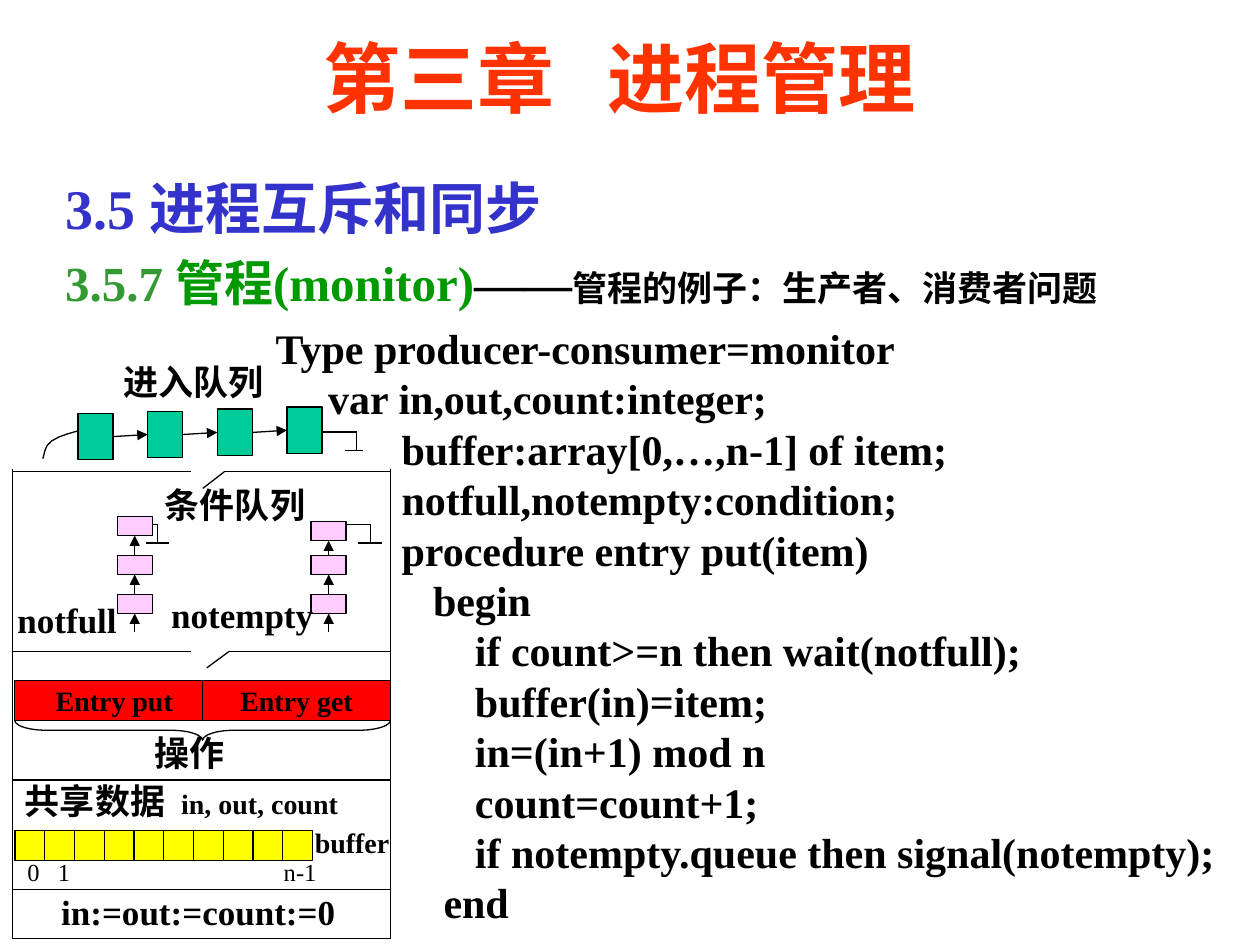
from lxml import etree
from pptx import Presentation
from pptx.dml.color import RGBColor
from pptx.enum.shapes import MSO_CONNECTOR, MSO_SHAPE
from pptx.enum.text import MSO_ANCHOR, MSO_AUTO_SIZE, PP_ALIGN
from pptx.oxml.ns import qn
from pptx.util import Pt

RECTANGLE, BRACE = MSO_SHAPE.RECTANGLE, MSO_SHAPE.RIGHT_BRACE
STRAIGHT = MSO_CONNECTOR.STRAIGHT
LEFT, CENTER = PP_ALIGN.LEFT, PP_ALIGN.CENTER
MIDDLE = MSO_ANCHOR.MIDDLE
FIT_TEXT = MSO_AUTO_SIZE.SHAPE_TO_FIT_TEXT
TOP_SIDE, LEFT_SIDE, BOTTOM_SIDE, RIGHT_SIDE = range(4)

FONT = "Times New Roman"
COLORS = {
    "title": "FF3300", "section": "3333CC", "number": "339933", "topic": "009900",
    "black": "000000", "entry": "00CC99", "condition": "FFCCFF",
    "operation": "FF0000", "buffer": "FFFF00",
}
CODE = [
    "Type producer-consumer=monitor",
    "     var in,out,count:integer;",
    "            buffer:array[0,…,n-1] of item;",
    "            notfull,notempty:condition;",
    "            procedure entry put(item)",
    "               begin",
    "                   if count>=n then wait(notfull);",
    "                   buffer(in)=item;",
    "                   in=(in+1) mod n",
    "                   count=count+1;",
    "                   if notempty.queue then signal(notempty);",
    "                end",
]


def color(name):
    return RGBColor.from_string(COLORS[name])


def add_run(paragraph, text, size, color_name="black", bold=True):
    run = paragraph.add_run()
    run.text = text
    run.font.name = FONT
    run.font.size = Pt(size)
    run.font.bold = bold
    run.font.color.rgb = color(color_name)


def add_text_box(slide, left, top, width, height):
    box = slide.shapes.add_textbox(Pt(left), Pt(top), Pt(width), Pt(height))
    box.text_frame.word_wrap = True
    box.text_frame.auto_size = FIT_TEXT
    return box.text_frame


def add_label(slide, left, top, width, text, size=20, height=31, align=LEFT):
    paragraph = add_text_box(slide, left, top, width, height).paragraphs[0]
    paragraph.alignment = align
    add_run(paragraph, text, size)


def outline(shape):
    shape.line.color.rgb = color("black")
    shape.line.width = Pt(0.75)


def add_box(slide, left, top, width, height, fill=None, kind=RECTANGLE):
    shape = slide.shapes.add_shape(kind, Pt(left), Pt(top), Pt(width), Pt(height))
    shape.shadow.inherit = False
    outline(shape)
    if fill:
        shape.fill.solid()
        shape.fill.fore_color.rgb = color(fill)
    else:
        shape.fill.background()
    return shape


def add_line(slide, x1, y1, x2, y2, arrow=False):
    line = slide.shapes.add_connector(STRAIGHT, Pt(x1), Pt(y1), Pt(x2), Pt(y2))
    outline(line)
    properties = line._element.spPr
    if arrow:
        etree.SubElement(properties.find(qn("a:ln")), qn("a:tailEnd"), type="triangle")
    etree.SubElement(properties, qn("a:effectLst"))
    return line


def add_link(slide, start, start_side, end, end_side):
    line = add_line(slide, 0, 0, 0, 0, arrow=True)
    line.begin_connect(start, start_side)
    line.end_connect(end, end_side)


def add_terminator(slide, x1, x2, y, bar_left, bar_right):
    """Queue end: a lead, a drop and a bar below it."""
    drop = y + 10.6
    add_line(slide, x1, y, x2, y)
    add_line(slide, x2, y, x2, drop)
    add_line(slide, bar_left, drop, bar_right, drop)


def format_title(slide, left, top, width, height):
    title = slide.shapes.title
    title.left, title.top, title.width, title.height = map(Pt, (left, top, width, height))
    title.text_frame.vertical_anchor = MIDDLE
    paragraph = title.text_frame.paragraphs[0]
    paragraph.alignment = CENTER
    add_run(paragraph, "第三章   进程管理", 44, "title")


def add_headings(slide, left, top, width, height):
    paragraph = add_text_box(slide, left, top, width, height).paragraphs[0]
    paragraph.line_spacing = 1.2
    add_run(paragraph, "3.5 进程互斥和同步", 32, "section")
    paragraph.add_line_break()
    add_run(paragraph, "3.5.7 ", 28, "number")
    add_run(paragraph, "管程(monitor)", 28, "topic")
    add_run(paragraph, "——", 28)
    add_run(paragraph, "管程的例子：生产者、消费者问题", 20)


def add_code(slide, left, top, width, height):
    frame = add_text_box(slide, left, top, width, height)
    for index, text in enumerate(CODE):
        paragraph = frame.add_paragraph() if index else frame.paragraphs[0]
        paragraph.line_spacing = Pt(28.8)
        add_run(paragraph, text, 24)


def add_entry_queue(slide, left, top):
    add_label(slide, left + 38.9, top - 30.2, 104.4, "进入队列")
    nodes = [add_box(slide, left + 20.1 + 39.8 * i, top + 3.7 - 1.2 * i, 20, 26.6, "entry")
             for i in range(4)]
    for node, following in zip(nodes, nodes[1:]):
        add_link(slide, node, RIGHT_SIDE, following, LEFT_SIDE)
    add_terminator(slide, left + 159.1, left + 179.3, top + 14.3, left + 172.8, left + 183)
    # Curved lead into the queue
    curve = [(0, 29.6), (1.2, 25), (2.4, 22.2), (5, 19.5), (9, 17.3), (14, 15.5), (20.1, 13.7)]
    points = [(Pt(left + x), Pt(top + y)) for x, y in curve]
    builder = slide.shapes.build_freeform(*points[0])
    builder.add_line_segments(points[1:], close=False)
    lead = builder.convert_to_shape()
    lead.shadow.inherit = False
    lead.fill.background()
    outline(lead)


def add_condition_column(slide, left, top, first_offset=0):
    offsets = [first_offset, 22.3, 44.6]
    nodes = [add_box(slide, left, top + offset, 20, 10.8, "condition") for offset in offsets]
    for upper, lower in zip(nodes, nodes[1:]):
        add_link(slide, lower, TOP_SIDE, upper, BOTTOM_SIDE)
    arrival = add_line(slide, left + 10, top + 66.2, left + 10, top + 55.4, arrow=True)
    arrival.end_connect(nodes[-1], BOTTOM_SIDE)


def add_condition_queues(slide, left, top, width, height):
    right = left + width
    for x in (left, right):
        add_line(slide, x, top, x, top + height)
    # Gates above and below the queues
    for y, gate, tip in ((top + 1.6, 121, 108.7), (top + 104.2, 123.8, 110.9)):
        add_line(slide, left, y, left + 102.2, y)
        add_line(slide, left + gate, y, left + tip, y + 9.5)
        add_line(slide, left + gate, y, right, y)
    add_condition_column(slide, left + 59.8, top + 27.2)
    add_condition_column(slide, left + 170.6, top + 27.2, 2.9)
    add_terminator(slide, left + 79.8, left + 82.8, top + 31.7, left + 76.3, left + 89.3)
    add_terminator(slide, left + 190.8, left + 204.5, top + 31.7, left + 197.3, left + 211)
    add_label(slide, left - 4.3, top + 70.6, 73.4, "notfull")
    add_label(slide, left + 83.5, top + 67.7, 99.4, "notempty")
    add_label(slide, left + 71.3, top + 5, 111.6, "条件队列", align=CENTER)


def add_operations(slide, left, top, width):
    half = width / 2
    for x, box_width, text in ((left, half + 6.5, "Entry put"), (left + half, half, "Entry get")):
        entry = add_box(slide, x, top, box_width, 23, "operation")
        entry.text_frame.word_wrap = False
        entry.text_frame.vertical_anchor = MIDDLE
        paragraph = entry.text_frame.paragraphs[0]
        paragraph.alignment = CENTER
        add_run(paragraph, text, 16)
    brace = add_box(slide, left + half - 5.8, top + 28.5 - half, 11.5, width, kind=BRACE)
    brace.adjustments[0] = 1.579
    brace.rotation = 90
    add_label(slide, left + 72.8, top + 25.9, 59.8, "操作")


def add_shared_data(slide, left, top, width, height):
    add_box(slide, left, top, width, height)
    add_line(slide, left, top + 62.6, left + width, top + 62.6)
    heading = add_text_box(slide, left, top - 3.6, 204.5, 31).paragraphs[0]
    add_run(heading, "共享数据  ", 20)
    add_run(heading, "in, out, count", 16)
    # Buffer cells and their indices
    for i in range(10):
        add_box(slide, left + 1.4 + 17 * i, top + 28.8, 17, 17.3, "buffer")
    add_label(slide, left + 165.6, top + 22.3, 67.7, "buffer", 16, 26.6)
    indices = add_text_box(slide, left + 1.4, top + 40.3, 182.9, 23.8).paragraphs[0]
    tabs = etree.SubElement(indices._p.get_or_add_pPr(), qn("a:tabLst"))
    for position in (17.5, 146.5):
        etree.SubElement(tabs, qn("a:tab"), pos=str(Pt(position)), algn="l")
    add_run(indices, "0\t1\tn-1", 14, bold=False)
    add_label(slide, left + 1.4, top + 59.8, 209.5, "in:=out:=count:=0", align=CENTER)


def main():
    presentation = Presentation()
    presentation.slide_width, presentation.slide_height = Pt(720), Pt(540)
    slide = presentation.slides.add_slide(presentation.slide_layouts[5])
    format_title(slide, 84.2, 5, 540, 77.8)
    add_headings(slide, 30.2, 87.8, 648, 93.6)
    add_code(slide, 150.5, 180.7, 561.6, 352)
    # Monitor diagram
    add_entry_queue(slide, 24.5, 232.5)
    add_condition_queues(slide, 7.2, 268, 216, 183)
    add_operations(slide, 8.4, 388.8, 214.8)
    add_shared_data(slide, 7.2, 445.7, 216, 90.7)
    presentation.save("out.pptx")


if __name__ == "__main__":
    main()
